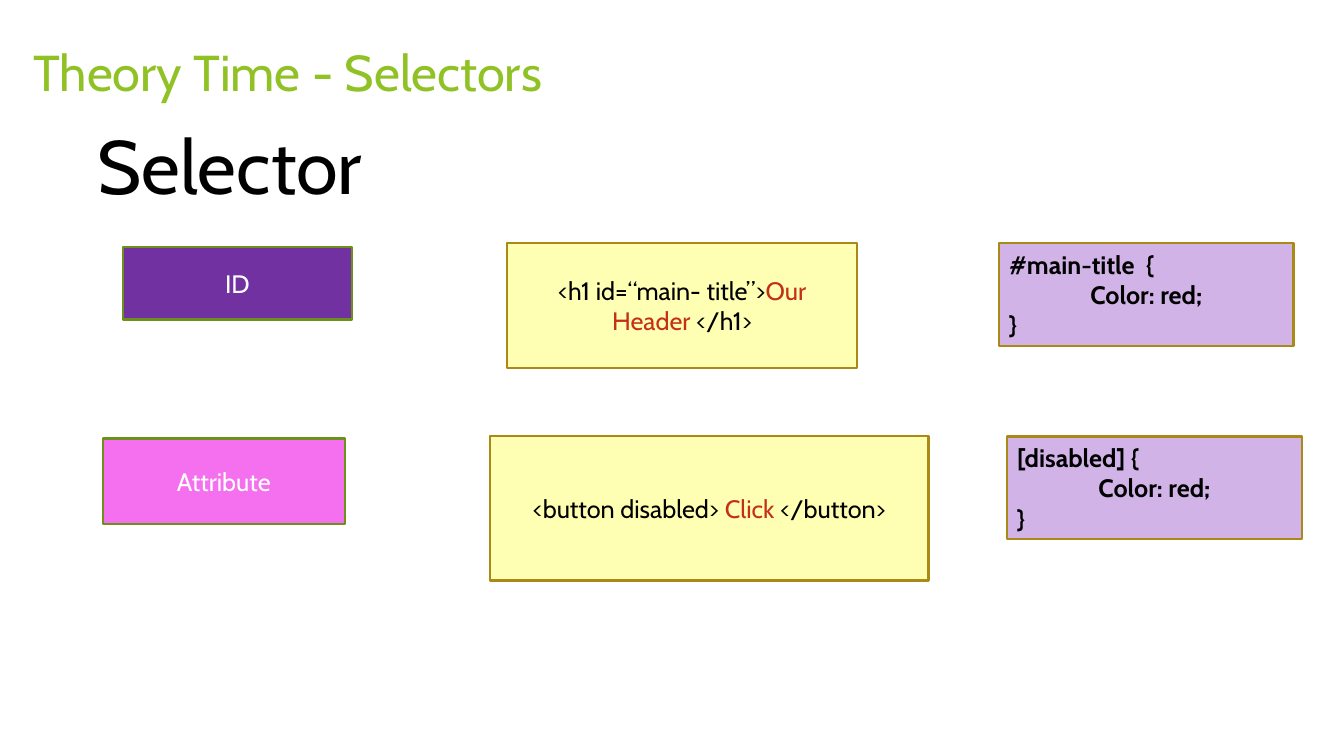
from pptx import Presentation
from pptx.dml.color import RGBColor
from pptx.enum.shapes import MSO_SHAPE
from pptx.enum.text import MSO_ANCHOR, PP_ALIGN
from pptx.util import Inches, Pt

FONT = "Cabin"
COLORS = {
    "title": "90C226",
    "black": "000000",
    "white": "FFFFFF",
    "red": "C42F1A",
    "purple": "7131A1",
    "pink": "F470EE",
    "yellow": "FFFFB3",
    "lilac": "D1B3E7",
    "green_line": "6B901C",
    "gold_line": "AA8916",
}


def color(name):
    return RGBColor.from_string(COLORS[name])


def add_span(para, text, ink, size=18, bold=False):
    span = para.add_run()
    span.text = text
    span.font.name = FONT
    span.font.size = Pt(size)
    span.font.bold = bold
    span.font.color.rgb = color(ink)


def add_panel(page, box, fill, line):
    """Draw an outlined rectangle and return its text frame."""
    panel = page.shapes.add_shape(MSO_SHAPE.RECTANGLE, *map(Inches, box))
    panel.shadow.inherit = False
    panel.fill.solid()
    panel.fill.fore_color.rgb = color(fill)
    panel.line.color.rgb = color(line)
    panel.line.width = Pt(1.5)
    frame = panel.text_frame
    frame.word_wrap = True
    frame.vertical_anchor = MSO_ANCHOR.MIDDLE
    return frame


def add_title(page, box):
    title = page.shapes.title
    title.left, title.top, title.width, title.height = map(Inches, box)
    title.text_frame.vertical_anchor = MSO_ANCHOR.MIDDLE
    para = title.text_frame.paragraphs[0]
    para.alignment = PP_ALIGN.LEFT
    add_span(para, "Theory Time - Selectors", "title", 36)


def add_heading(page, box):
    heading = page.shapes.add_textbox(*map(Inches, box))
    heading.text_frame.word_wrap = True
    para = heading.text_frame.paragraphs[0]
    para.alignment = PP_ALIGN.CENTER
    add_span(para, "Selector", "black", 54)


def add_label(page, box, text, fill):
    para = add_panel(page, box, fill, "green_line").paragraphs[0]
    para.alignment = PP_ALIGN.CENTER
    add_span(para, text, "white")


def add_markup(page, box, opening, content, closing):
    para = add_panel(page, box, "yellow", "gold_line").paragraphs[0]
    para.alignment = PP_ALIGN.CENTER
    for text, ink in ((opening, "black"), (content, "red"), (closing, "black")):
        add_span(para, text, ink)


def add_rule(page, box, selector):
    frame = add_panel(page, box, "lilac", "gold_line")
    lines = (
        (selector, PP_ALIGN.LEFT),
        ("Color: red;", PP_ALIGN.CENTER),
        ("}", PP_ALIGN.LEFT),
    )
    for index, (text, alignment) in enumerate(lines):
        para = frame.add_paragraph() if index else frame.paragraphs[0]
        para.alignment = alignment
        add_span(para, text, "black", bold=True)


def main():
    deck = Presentation()
    deck.slide_width = Inches(13.33)
    deck.slide_height = Inches(7.5)
    page = deck.slides.add_slide(deck.slide_layouts[5])

    # Title and heading
    add_title(page, (0.23, 0.3, 9.91, 0.81))
    add_heading(page, (0.73, 1.13, 3.1, 1.01))

    # ID selector
    add_label(page, (1.22, 2.45, 2.27, 0.72), "ID", "purple")
    add_markup(page, (5.03, 2.41, 3.47, 1.24),
               "<h1 id=“main- title”>", "Our Header ", "</h1>")
    add_rule(page, (9.91, 2.41, 2.92, 1.02), "#main-title  {")

    # Attribute selector
    add_label(page, (1.02, 4.35, 2.4, 0.85), "Attribute", "pink")
    add_markup(page, (4.86, 4.33, 4.35, 1.43),
               "<button disabled> ", "Click", " </button>")
    add_rule(page, (9.99, 4.33, 2.92, 1.02), "[disabled] {")

    deck.save("out.pptx")


if __name__ == "__main__":
    main()
